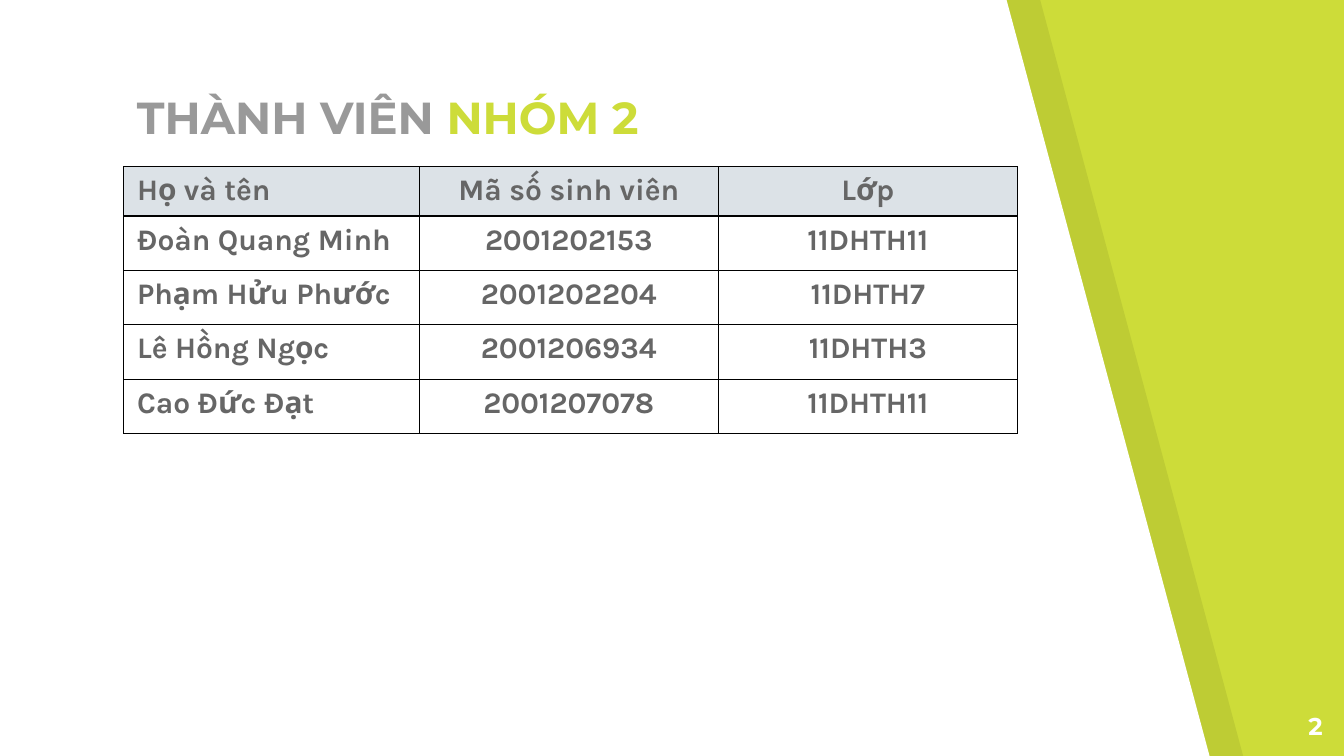
from lxml import etree
from pptx import Presentation
from pptx import util as u
from pptx.dml import color
from pptx.enum import text as t
from pptx.oxml import ns

HUES = {"lime": "CDDC39", "white": "FFFFFF", "black": "000000",
        "gray": "999999", "ink": "666666", "head": "DCE2E7"}
WIDE = 10
HIGH = WIDE * 9 / 16
ROWS = [
    ("Họ và tên", "Mã số sinh viên", "Lớp"),
    ("Đoàn Quang Minh ", "2001202153", "11DHTH11"),
    ("Phạm Hửu Phước ", "2001202204", "11DHTH7"),
    ("Lê Hồng Ngọc ", "2001206934", "11DHTH3"),
    ("Cao Đức Đạt ", "2001207078", "11DHTH11"),
]


def rgb(hue):
    return color.RGBColor.from_string(HUES[hue])


def add_run(para, words, font, size, hue):
    run = para.add_run()
    run.text = words
    run.font.name, run.font.size, run.font.bold = font, u.Pt(size), True
    run.font.color.rgb = rgb(hue)


def add_text(slide, box, runs, size, align, anchor):
    frame = slide.shapes.add_textbox(*map(u.Inches, box)).text_frame
    frame.word_wrap = True
    frame.vertical_anchor = anchor
    frame.margin_left = frame.margin_right = u.Inches(0.1)
    frame.margin_top = frame.margin_bottom = u.Inches(0.1)
    para = frame.paragraphs[0]
    para.alignment = align
    for words, hue in runs:
        add_run(para, words, "Montserrat", size, hue)


def add_panel(slide, box, hue, alpha=100):
    """Sheet with a slanted right edge."""
    left, top, width, height = box
    pen = slide.shapes.build_freeform(u.Inches(left), u.Inches(top), scale=1.0)
    ends = [(left, top + height), (left + width, top + height),
            (left + width - 1.51, top)]
    pen.add_line_segments([(u.Inches(x), u.Inches(y)) for x, y in ends])
    shape = pen.convert_to_shape()
    shape.shadow.inherit = False
    shape.fill.solid()
    shape.fill.fore_color.rgb = rgb(hue)
    shape.line.fill.background()
    if alpha < 100:
        tone = shape.fill._xPr.find(".//" + ns.qn("a:srgbClr"))
        etree.SubElement(tone, ns.qn("a:alpha"), val=str(alpha * 1000))


def add_edges(cell):
    props = cell._tc.get_or_add_tcPr()
    for spot, side in enumerate(("lnL", "lnR", "lnT", "lnB")):
        edge = etree.Element(ns.qn("a:" + side), w=str(u.Pt(0.75)))
        fill = etree.SubElement(edge, ns.qn("a:solidFill"))
        etree.SubElement(fill, ns.qn("a:srgbClr"), val=HUES["black"])
        props.insert(spot, edge)


def add_table(slide, box):
    left, top, width, height = box
    first = 2.2
    table = slide.shapes.add_table(
        len(ROWS), len(ROWS[0]), *map(u.Inches, box)).table
    for j, col in enumerate(table.columns):
        col.width = u.Inches((width - first) / 2 if j else first)
    for i, row in enumerate(ROWS):
        # The header row grows to fit its text
        table.rows[i].height = u.Inches(0.405 if i else 0)
        for j, words in enumerate(row):
            cell = table.cell(i, j)
            if i:
                cell.fill.background()
            else:
                cell.fill.solid()
                cell.fill.fore_color.rgb = rgb("head")
            para = cell.text_frame.paragraphs[0]
            para.alignment = t.PP_ALIGN.CENTER if j else t.PP_ALIGN.LEFT
            add_run(para, words, "Karla", 16, "ink")
            add_edges(cell)


def add_members(deck):
    slide = deck.slides.add_slide(deck.slide_layouts[6])
    back = slide.background.fill
    back.solid()
    back.fore_color.rgb = rgb("lime")
    # Slanted sheets
    add_panel(slide, (0.25, 0, 9, HIGH), "black", 7)
    add_panel(slide, (0, 0, 9, HIGH), "white")
    # Title and page number
    add_text(slide, (0.92, 0.72, 5.25, 0.45),
             [("THÀNH VIÊN ", "gray"), ("NHÓM 2", "lime")],
             24, t.PP_ALIGN.LEFT, t.MSO_ANCHOR.BOTTOM)
    add_text(slide, (9.34, 5.19, 0.6, 0.43), [("2", "white")],
             13, t.PP_ALIGN.RIGHT, t.MSO_ANCHOR.TOP)
    # Member list
    add_table(slide, (0.92, 1.24, 6.65, 1.99))


deck = Presentation()
deck.slide_width, deck.slide_height = u.Inches(WIDE), u.Inches(HIGH)
add_members(deck)
deck.save("out.pptx")
